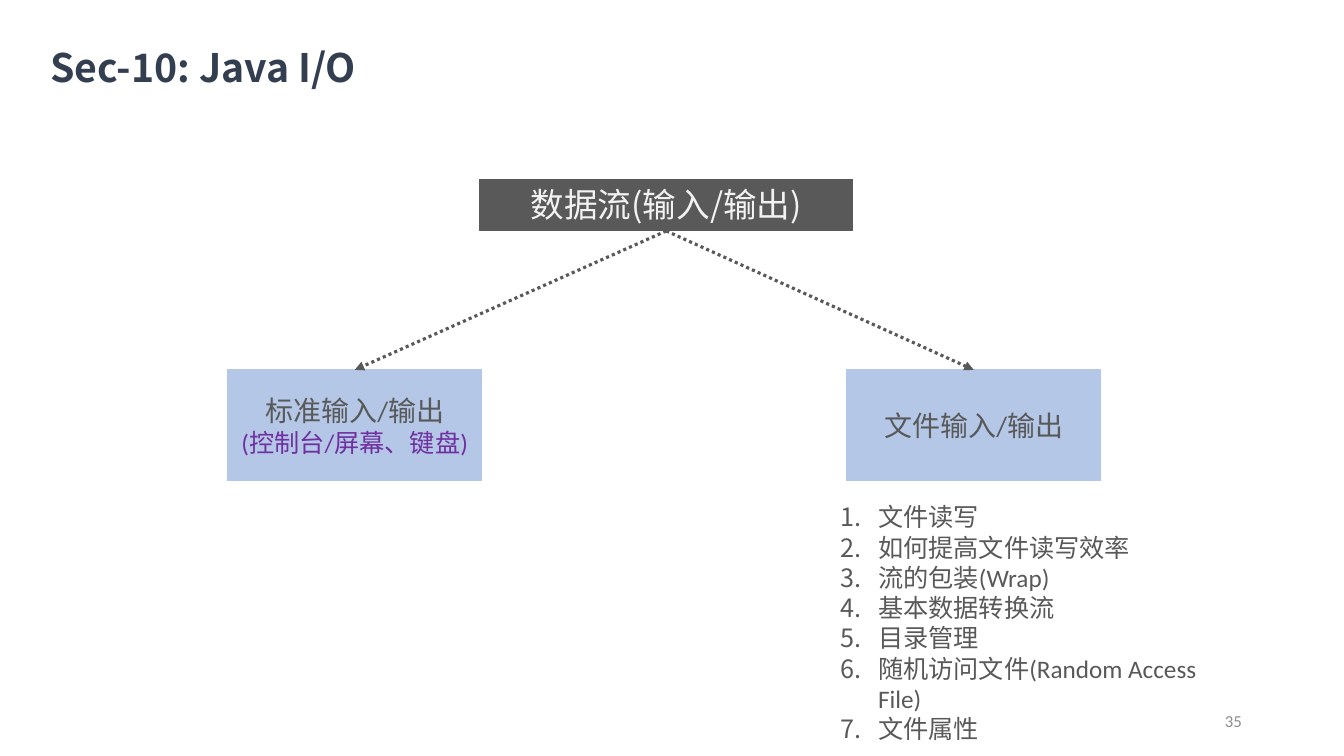
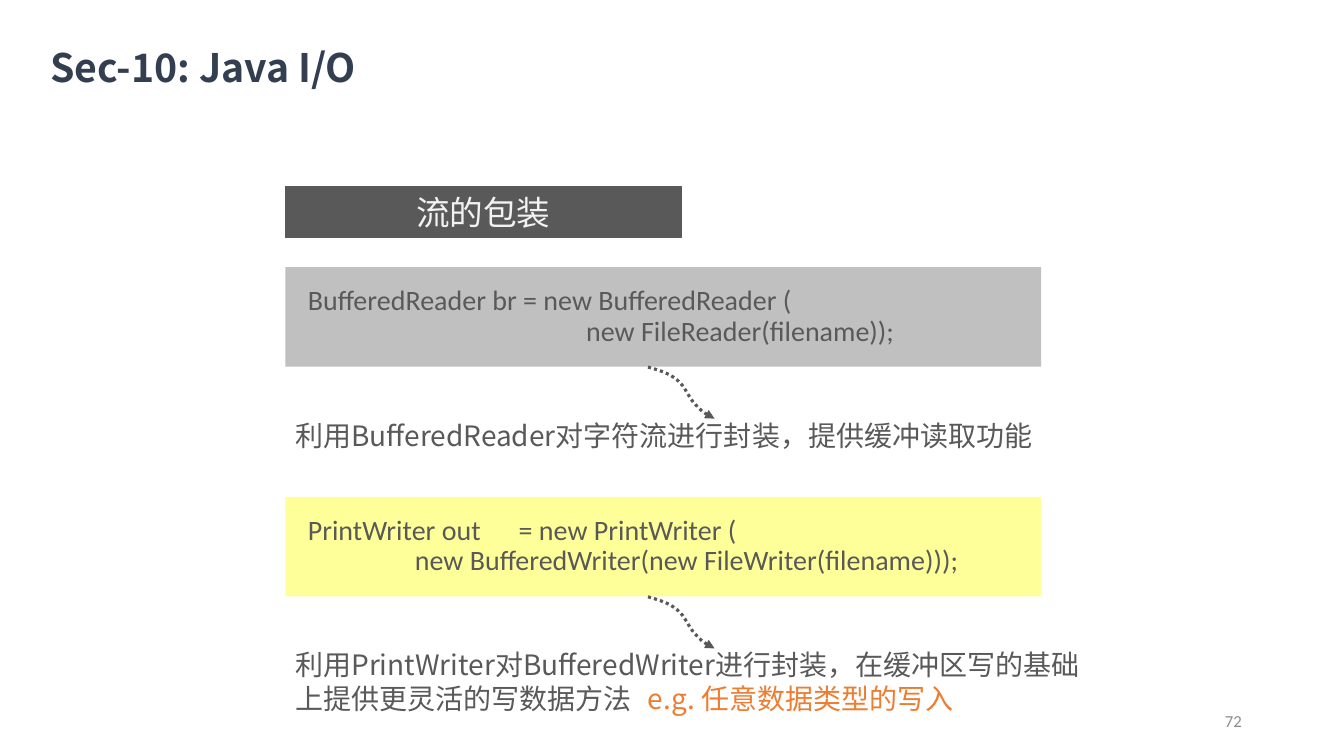
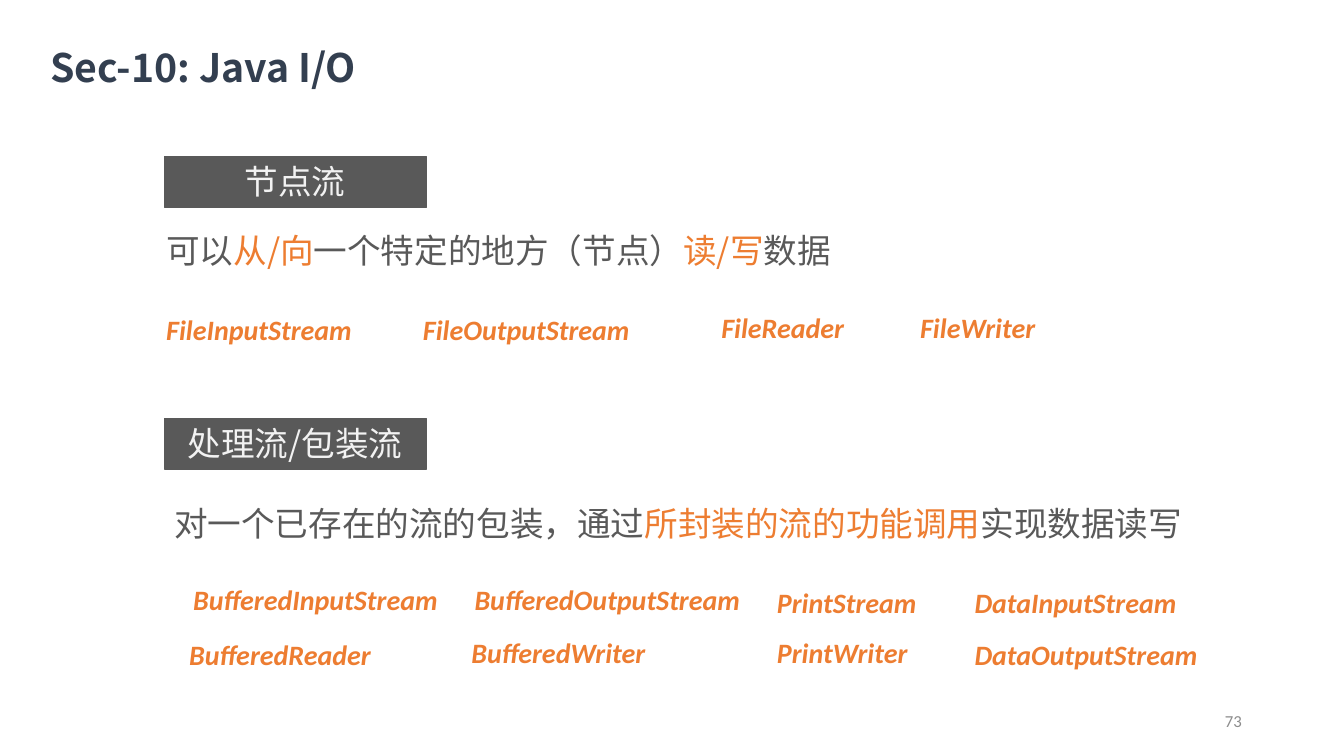
"""Build three slides of a Java I/O lecture."""
from dataclasses import dataclass
from typing import Iterator, NamedTuple, Optional, Sequence

from lxml import etree
from pptx import Presentation, util as u
from pptx.dml import color
from pptx.enum import dml, shapes, text
from pptx.oxml import ns


@dataclass(frozen=True)
class Theme:
    latin: str = "Calibri"
    cjk: str = "Noto Sans CJK SC"
    title: str = "333F50"
    dark: str = "595959"
    light: str = "F2F2F2"
    accent: str = "ED7D31"
    purple: str = "7030A0"
    page: str = "8C8C8C"
    blue: str = "B4C7E7"
    grey: str = "C0C0C0"
    yellow: str = "FFFF99"
    title_size: int = 28
    head_size: int = 24
    body_size: int = 20
    list_size: int = 18
    page_size: int = 12
    arrow_width: float = 2.25


T = Theme()


class Style(NamedTuple):
    size: int
    colour: str
    font: str = T.latin
    bold: bool = False
    italic: bool = False


class Span(NamedTuple):
    text: str
    style: Style


class Area(NamedTuple):
    left: float
    top: float
    width: float
    height: float


class Label(NamedTuple):
    text: str
    left: float
    top: float
    width: float = 6.81


class Wrapping(NamedTuple):
    code: tuple[str, str]
    fill: str
    note: list[Span]
    note_height: float


Paragraph = list[Span]
Point = tuple[float, float]

TITLE = Style(T.title_size, T.title, T.cjk, bold=True)
PAGE = Style(T.page_size, T.page)
BANNER = Style(T.head_size, T.light, T.cjk)
LEAD = Style(T.head_size, T.dark, T.cjk)
LEAD_HOT = LEAD._replace(colour=T.accent)
BOX = Style(T.body_size, T.dark)
BOX_NOTE = Style(T.list_size, T.purple)
ITEM = Style(T.list_size, T.dark)
NOTE = Style(T.body_size, T.dark, T.cjk)
NOTE_HOT = NOTE._replace(colour=T.accent)
CLASS_NAME = Style(T.body_size, T.accent, bold=True, italic=True)

HANG = 0.95
BANNER_HEIGHT = 1.28
LABEL_HEIGHT = 1.12
WRAP_LEFT = 7.19
WRAP_STEP = 5.79
CURVE: list[Point] = [
    (0, 0), (0.28, 0.08), (0.53, 0.15), (0.74, 0.33), (0.94, 0.48),
    (1.04, 0.81), (1.22, 0.97), (1.37, 1.14), (1.52, 1.22), (1.68, 1.3),
]

TOPICS = [
    "文件读写", "如何提高文件读写效率", "流的包装(Wrap)", "基本数据转换流",
    "目录管理", "随机访问文件(Random Access File)", "文件属性",
]
WRAPPINGS = [
    Wrapping(
        ("  BufferedReader br = new BufferedReader (",
         "                                              new FileReader(filename));"),
        T.grey,
        [Span("利用BufferedReader对字符流进行封装，提供缓冲读取功能", NOTE)],
        1.12,
    ),
    Wrapping(
        ("  PrintWriter out      = new PrintWriter (",
         "\t\t     new BufferedWriter(new FileWriter(filename)));"),
        T.yellow,
        [Span("利用PrintWriter对BufferedWriter进行封装，在缓冲区写的基础上提供更灵活的写数据方法\t", NOTE),
         Span("e.g. 任意数据类型的写入", NOTE_HOT)],
        1.96,
    ),
]
CLASSES = [
    Label("FileInputStream", 3.94, 7.75),
    Label("FileOutputStream", 10.41, 7.75),
    Label("FileReader", 17.93, 7.7),
    Label("FileWriter", 22.94, 7.7),
    Label("BufferedInputStream", 4.62, 14.55, 8.79),
    Label("BufferedOutputStream", 11.71, 14.55, 8.91),
    Label("PrintStream", 19.33, 14.63),
    Label("DataInputStream", 24.31, 14.63),
    Label("BufferedReader", 4.52, 15.93),
    Label("BufferedWriter", 11.63, 15.9),
    Label("PrintWriter", 19.33, 15.9),
    Label("DataOutputStream", 24.31, 15.93),
]


def rgb(value: str) -> color.RGBColor:
    """Turn a hex string into a colour."""
    return color.RGBColor.from_string(value)


def format_run(r, style: Style) -> None:
    """Apply a type style to a run, for Latin and East Asian text."""
    r.font.size = u.Pt(style.size)
    r.font.bold, r.font.italic = style.bold, style.italic
    r.font.color.rgb = rgb(style.colour)
    r.font.name = style.font
    etree.SubElement(r.font._element, ns.qn("a:ea"), typeface=T.cjk)


def write(tf, paragraphs: Sequence[Paragraph], align=text.PP_ALIGN.LEFT,
          anchor=text.MSO_ANCHOR.TOP, grow: bool = True, hang: float = 0,
          numbered: bool = False, spacing: Optional[float] = None) -> None:
    """Fill a text frame with styled paragraphs."""
    tf.word_wrap = True
    tf.vertical_anchor = anchor
    if grow:
        tf.auto_size = text.MSO_AUTO_SIZE.SHAPE_TO_FIT_TEXT
    for i, spans in enumerate(paragraphs):
        p = tf.add_paragraph() if i else tf.paragraphs[0]
        p.text = spans[0].text
        for span in spans[1:]:
            p.add_run().text = span.text
        p.alignment = align
        if hang:
            pPr = p._p.get_or_add_pPr()
            pPr.set("marL", str(u.Cm(hang)))
            pPr.set("indent", str(-u.Cm(hang)))
            if numbered:
                etree.SubElement(pPr, ns.qn("a:buFont"), typeface=T.cjk)
                etree.SubElement(pPr, ns.qn("a:buAutoNum"), type="arabicPeriod")
        if spacing:
            p.line_spacing = spacing
        for r, span in zip(p.runs, spans):
            format_run(r, span.style)


def add_text(s, area: Area, paragraphs: Sequence[Paragraph], **options):
    """Add a text box and return its frame."""
    tf = s.shapes.add_textbox(*map(u.Cm, area)).text_frame
    write(tf, paragraphs, **options)
    return tf


def add_box(s, area: Area, fill: str, paragraphs: Sequence[Paragraph],
            outline: float = 0, **options) -> None:
    """Add a filled rectangle with text."""
    sp = s.shapes.add_shape(shapes.MSO_SHAPE.RECTANGLE, *map(u.Cm, area))
    sp.shadow.inherit = False
    sp.fill.solid()
    sp.fill.fore_color.rgb = rgb(fill)
    if outline:
        sp.line.color.rgb = rgb(fill)
        sp.line.width = u.Pt(outline)
    else:
        sp.line.fill.background()
    write(sp.text_frame, paragraphs, **options)


def add_banner(s, caption: str, left: float, top: float, width: float) -> None:
    """Add a dark heading bar."""
    add_box(s, Area(left, top, width, BANNER_HEIGHT), T.dark,
            [[Span(caption, BANNER)]], 0.75, align=text.PP_ALIGN.CENTER)


def style_arrow(sp) -> None:
    """Give a line its dotted stroke and arrowhead, without shadow."""
    sp.line.color.rgb = rgb(T.dark)
    sp.line.width = u.Pt(T.arrow_width)
    sp.line.dash_style = dml.MSO_LINE.ROUND_DOT
    spPr = sp._element.spPr
    etree.SubElement(spPr.find(ns.qn("a:ln")), ns.qn("a:tailEnd"), type="triangle")
    etree.SubElement(spPr, ns.qn("a:effectLst"))


def add_arrow(s, start: Point, end: Point) -> None:
    """Add a straight dotted arrow."""
    style_arrow(s.shapes.add_connector(
        shapes.MSO_CONNECTOR.STRAIGHT, *map(u.Cm, start + end)))


def curve_points(knots: Sequence[Point], steps: int = 8) -> Iterator[Point]:
    """Sample a chain of cubic curves."""
    for i in range(0, len(knots) - 1, 3):
        for step in range(1, steps + 1):
            t = step / steps
            weights = ((1 - t) ** 3, 3 * t * (1 - t) ** 2, 3 * t * t * (1 - t), t ** 3)
            x, y = (sum(w * k[axis] for w, k in zip(weights, knots[i:i + 4]))
                    for axis in (0, 1))
            yield x, y


def add_curved_arrow(s, left: float, top: float) -> None:
    """Add a curved dotted arrow."""
    builder = s.shapes.build_freeform(u.Cm(left), u.Cm(top))
    builder.add_line_segments(
        [(u.Cm(left + x), u.Cm(top + y)) for x, y in curve_points(CURVE)], close=False)
    sp = builder.convert_to_shape()
    sp.fill.background()
    style_arrow(sp)


def new_slide(prs, number: int):
    """Add a blank slide with the shared title and page number."""
    s = prs.slides.add_slide(prs.slide_layouts[6])
    tf = add_text(s, Area(1.27, 1.07, 16.46, 1.22), [[Span("Sec-10: Java I/O", TITLE)]])
    tf.margin_left = tf.margin_right = tf.margin_bottom = 0
    tf.margin_top = u.Cm(0.03)
    add_text(s, Area(23.93, 17.65, 7.62, 1.02), [[Span(str(number), PAGE)]],
             align=text.PP_ALIGN.RIGHT, anchor=text.MSO_ANCHOR.MIDDLE, grow=False)
    return s


def build_overview(prs) -> None:
    """Draw the tree of data streams."""
    s = new_slide(prs, 35)
    add_banner(s, "数据流(输入/输出)", 12.09, 4.52, 9.4)
    branches = [
        (5.74, 8.94, [[Span("标准输入/输出", BOX)], [Span("(控制台/屏幕、键盘)", BOX_NOTE)]]),
        (21.34, 24.54, [[Span("文件输入/输出", BOX)]]),
    ]
    for left, tip, paragraphs in branches:
        add_box(s, Area(left, 9.32, 6.4, 2.79), T.blue, paragraphs, 1, grow=False,
                align=text.PP_ALIGN.CENTER, anchor=text.MSO_ANCHOR.MIDDLE)
        add_arrow(s, (16.79, 5.82), (tip, 9.32))
    add_text(s, Area(20.93, 12.52, 10.59, 5.64),
             [[Span(topic, ITEM)] for topic in TOPICS], hang=HANG, numbered=True)


def build_wrapping(prs) -> None:
    """Draw the code samples for stream wrapping."""
    s = new_slide(prs, 72)
    add_banner(s, "流的包装", WRAP_LEFT, 4.7, 9.98)
    for i, item in enumerate(WRAPPINGS):
        shift = i * WRAP_STEP
        add_box(s, Area(WRAP_LEFT, 6.73 + shift, 19.05, 2.51), item.fill,
                [[Span(line, BOX)] for line in item.code], grow=False,
                anchor=text.MSO_ANCHOR.MIDDLE, hang=HANG, spacing=0.9)
        add_text(s, Area(WRAP_LEFT, 10.41 + shift, 20.93, item.note_height), [item.note])
        add_curved_arrow(s, 16.33, 9.25 + shift)


def build_stream_kinds(prs) -> None:
    """Draw node streams and wrapping streams with their classes."""
    s = new_slide(prs, 73)
    add_banner(s, "节点流", 4.14, 3.94, 6.6)
    add_banner(s, "处理流/包装流", 4.14, 10.54, 6.6)
    add_text(s, Area(3.94, 5.66, 21.01, 1.27), [[
        Span("可以", LEAD), Span("从/向", LEAD_HOT), Span("一个特定的地方（节点）", LEAD),
        Span("读/写", LEAD_HOT), Span("数据", LEAD)]])
    add_text(s, Area(4.14, 12.55, 26.39, 1.27), [[
        Span("对一个已存在的流的包装，通过", LEAD), Span("所封装的流的功能调用", LEAD_HOT),
        Span("实现数据读写", LEAD)]])
    for label in CLASSES:
        add_text(s, Area(label.left, label.top, label.width, LABEL_HEIGHT),
                 [[Span(label.text, CLASS_NAME)]])


def main() -> None:
    """Build and save the presentation."""
    prs = Presentation()
    prs.slide_width, prs.slide_height = u.Cm(33.87), u.Cm(19.05)
    build_overview(prs)
    build_wrapping(prs)
    build_stream_kinds(prs)
    prs.save("out.pptx")


if __name__ == "__main__":
    main()
